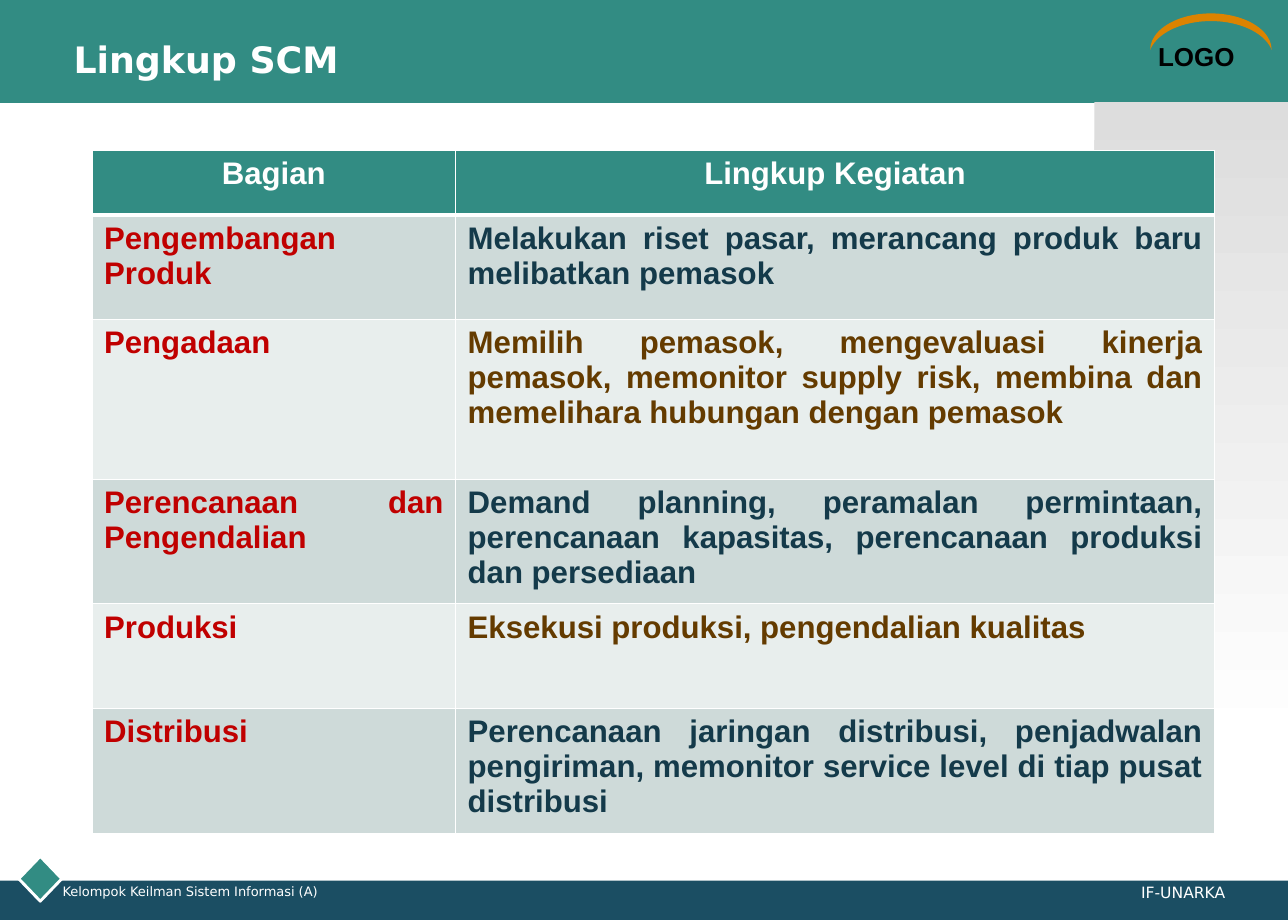
from pptx import Presentation
from pptx.dml.color import RGBColor
from pptx.enum.shapes import MSO_SHAPE as SHAPE
from pptx.enum.text import MSO_ANCHOR as ANCHOR, PP_ALIGN as ALIGN
from pptx.oxml import parse_xml
from pptx.oxml.ns import nsdecls
from pptx.util import Cm, Pt

# Content
TITLE = "Lingkup SCM"
LOGO = "LOGO"
FOOTER_LEFT = "Kelompok Keilman Sistem Informasi (A)"
FOOTER_RIGHT = "IF-UNARKA"
ROWS = [
    ("Bagian", "Lingkup Kegiatan"),
    ("Pengembangan Produk",
     "Melakukan riset pasar, merancang produk baru melibatkan pemasok"),
    ("Pengadaan",
     "Memilih pemasok, mengevaluasi kinerja pemasok, memonitor supply risk, "
     "membina dan memelihara hubungan dengan pemasok"),
    ("Perencanaan dan Pengendalian",
     "Demand planning, peramalan permintaan, perencanaan kapasitas, "
     "perencanaan produksi dan persediaan"),
    ("Produksi", "Eksekusi produksi, pengendalian kualitas"),
    ("Distribusi",
     "Perencanaan jaringan distribusi, penjadwalan pengiriman, "
     "memonitor service level di tiap pusat distribusi"),
]

# Sizes in cm
WIDTH, HEIGHT = 35, 25
COL_WIDTHS = [9.88, 20.62]
ROW_HEIGHTS = [1.75, 2.84, 4.34, 3.33, 2.84, 3.33]

# Colours and fonts
WHITE = RGBColor(0xFF, 0xFF, 0xFF)
BLACK = RGBColor(0x00, 0x00, 0x00)
TEAL = RGBColor(0x32, 0x8C, 0x83)
NAVY = RGBColor(0x1B, 0x4E, 0x63)
ORANGE = RGBColor(0xDC, 0x83, 0x00)
GREY = RGBColor(0xDD, 0xDD, 0xDD)
RED = RGBColor(0xC0, 0x00, 0x00)
DARK_BLUE = RGBColor(0x14, 0x3A, 0x4A)
BROWN = RGBColor(0x64, 0x3B, 0x00)
BAND_DARK = RGBColor(0xCE, 0xDA, 0xD9)
BAND_LIGHT = RGBColor(0xE8, 0xEE, 0xED)
SANS, ARIAL = "DejaVu Sans", "Arial"


def add_shape(kind, x, y, w, h, color=None):
    sp = s.shapes.add_shape(kind, Cm(x), Cm(y), Cm(w), Cm(h))
    sp.shadow.inherit = False
    sp.line.fill.background()
    if color is not None:
        sp.fill.solid()
        sp.fill.fore_color.rgb = color
    return sp


def style(p, text, size, font, color, bold=False, align=ALIGN.LEFT):
    p.text = text
    p.alignment = align
    f = p.font
    f.size, f.name, f.bold = Pt(size), font, bold
    f.color.rgb = color


def add_text(x, y, w, h, *args, anchor=ANCHOR.TOP, **kwargs):
    tf = s.shapes.add_textbox(Cm(x), Cm(y), Cm(w), Cm(h)).text_frame
    tf.word_wrap = True
    tf.vertical_anchor = anchor
    style(tf.paragraphs[0], *args, **kwargs)


def set_borders(cell, **widths):
    tcPr = cell._tc.get_or_add_tcPr()
    for side, width in widths.items():
        tcPr.append(parse_xml(
            f'<a:ln{side} {nsdecls("a")} w="{Pt(width)}"><a:solidFill>'
            f'<a:srgbClr val="{WHITE}"/></a:solidFill></a:ln{side}>'))


prs = Presentation()
prs.slide_width, prs.slide_height = Cm(WIDTH), Cm(HEIGHT)
s = prs.slides.add_slide(prs.slide_layouts[6])

# Bands and diamond
add_shape(SHAPE.RECTANGLE, 0, 0, WIDTH, 2.8, TEAL)
add_shape(SHAPE.RECTANGLE, 0, 23.93, WIDTH, HEIGHT - 23.93, NAVY)
diamond = add_shape(SHAPE.DIAMOND, 0.51, 23.27, 1.17, 1.22, TEAL)
diamond.line.color.rgb = WHITE
diamond.line.width = Pt(2.25)

# Logo placeholder
add_text(31.22, 0.97, 3.78, 1.12, LOGO, 20, ARIAL, BLACK, bold=True)
arc = add_shape(SHAPE.MOON, 32.41, -0.79, 0.99, 3.3, ORANGE)
arc.adjustments[0] = 0.21
arc.rotation = 90

# Fading side panel
panel = add_shape(SHAPE.RECTANGLE, 29.74, 2.77, 5.26, 17.5)
panel.fill.gradient()
panel.fill.gradient_angle = 270
for stop, color, position in zip(panel.fill.gradient_stops, (GREY, WHITE), (0, 1)):
    stop.color.rgb = color
    stop.position = position

# Title and footer
add_text(1.75, 0.56, 31.5, 2.06, TITLE, 28, SANS, WHITE, bold=True,
         anchor=ANCHOR.MIDDLE)
add_text(1.45, 23.88, 9.32, 0.84, FOOTER_LEFT, 10, SANS, WHITE)
add_text(24.51, 23.88, 9.04, 0.89, FOOTER_RIGHT, 12, SANS, WHITE, align=ALIGN.RIGHT)

# Table
table = s.shapes.add_table(len(ROWS), len(COL_WIDTHS), Cm(2.5), Cm(4.09),
                           Cm(sum(COL_WIDTHS)), Cm(sum(ROW_HEIGHTS))).table
for column, width in zip(table.columns, COL_WIDTHS):
    column.width = Cm(width)
for i, (row, height) in enumerate(zip(ROWS, ROW_HEIGHTS)):
    table.rows[i].height = Cm(height)
    if i == 0:
        fill, colors, align = TEAL, (WHITE, WHITE), ALIGN.CENTER
    elif i % 2:
        fill, colors, align = BAND_DARK, (RED, DARK_BLUE), ALIGN.JUSTIFY
    else:
        fill, colors, align = BAND_LIGHT, (RED, BROWN), ALIGN.JUSTIFY
    for j, (text, color) in enumerate(zip(row, colors)):
        cell = table.cell(i, j)
        cell.margin_left = cell.margin_right = Cm(0.33)
        cell.margin_top = cell.margin_bottom = Cm(0.17)
        set_borders(cell, L=1, R=1, T=3 if i == 1 else 1, B=3 if i == 0 else 1)
        cell.fill.solid()
        cell.fill.fore_color.rgb = fill
        style(cell.text_frame.paragraphs[0], text, 24, ARIAL, color, True, align)

prs.save("out.pptx")
